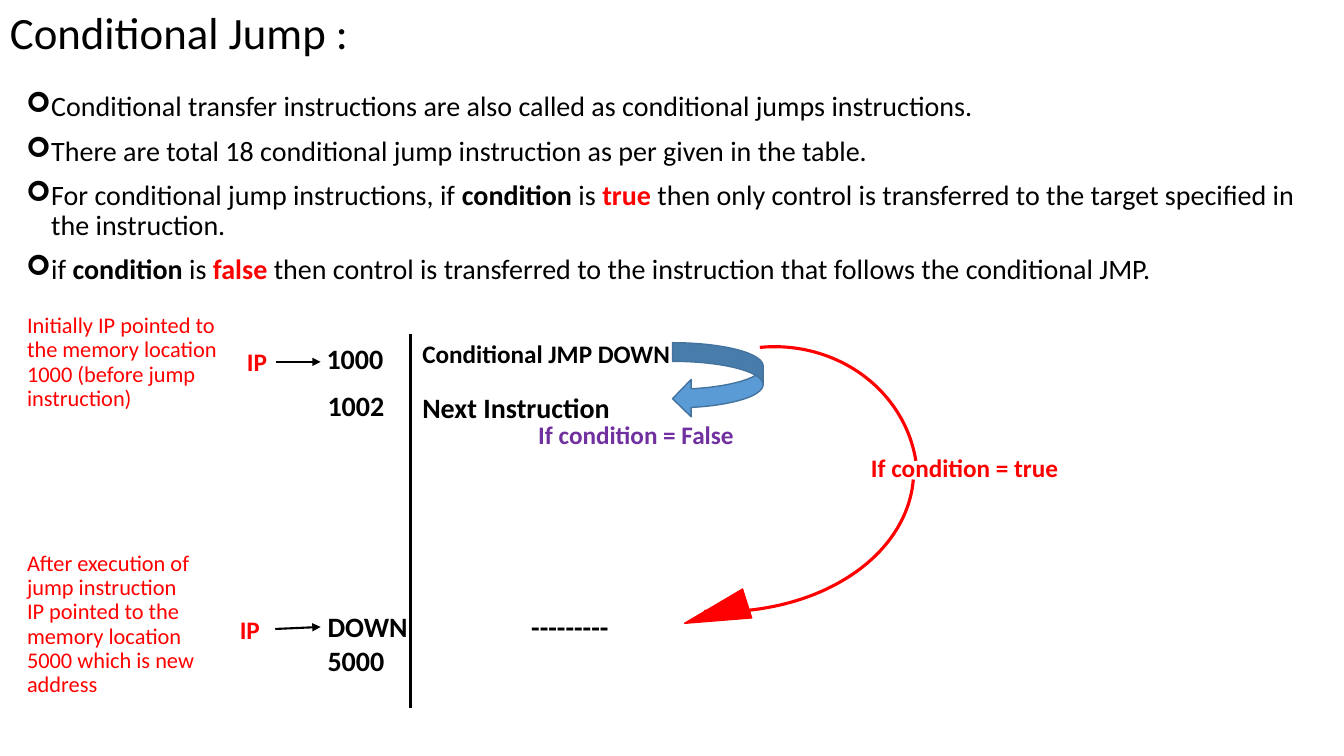
"""Build the Conditional Jump slide."""
from dataclasses import dataclass
from typing import NamedTuple

from lxml.etree import SubElement
from pptx import Presentation
from pptx.dml.color import RGBColor
from pptx.enum.shapes import MSO_CONNECTOR as Connector, MSO_SHAPE as Preset
from pptx.oxml.ns import qn
from pptx.shapes.autoshape import Shape
from pptx.slide import Slide
from pptx.util import Inches, Pt


@dataclass(frozen=True)
class Theme:
    """Colours, font and type sizes."""
    font: str = "Calibri"
    black: str = "000000"
    red: str = "FF0000"
    purple: str = "7030A0"
    blue: str = "5B9BD5"
    blue_edge: str = "43739E"
    title: int = 32
    body: int = 20
    label: int = 18
    note: int = 16


THEME = Theme()


class Frame(NamedTuple):
    """Left, top, width and height in inches."""
    left: float
    top: float
    width: float
    height: float


class Label(NamedTuple):
    """A plain text box."""
    frame: Frame
    text: str
    size: int = THEME.body
    color: str = THEME.black
    bold: bool = True
    spacing: float = 1.0


class Figure(NamedTuple):
    """A preset shape with an outline and an optional fill."""
    preset: Preset
    frame: Frame
    line: str
    weight: float
    fill: str | None = None
    rotation: float = 0
    adjustments: tuple[float, ...] = ()


class Rule(NamedTuple):
    """A straight line, optionally ending in an arrowhead."""
    start: tuple[float, float]
    end: tuple[float, float]
    weight: float
    arrow: bool = False


class Span(NamedTuple):
    """A stretch of text in one format."""
    text: str
    color: str = THEME.black
    bold: bool = False


BULLETS = (
    (Span("Conditional transfer instructions are also called as conditional jumps instructions."),),
    (Span("There are total 18 conditional jump instruction as per given in the table."),),
    (Span("For conditional jump instructions, if "), Span("condition ", bold=True), Span("is "),
     Span("true", THEME.red, True),
     Span(" then only control is transferred to the target specified in the instruction.")),
    (Span("if "), Span("condition ", bold=True), Span("is "), Span("false", THEME.red, True),
     Span(" then control is transferred to the instruction that follows the conditional JMP.")),
)

LABELS = (
    Label(Frame(0, 0, 4.63, 0.64), "Conditional Jump :", THEME.title, bold=False),
    Label(Frame(3.14, 3.34, 0.85, 0.44), "1000"),
    Label(Frame(3.15, 3.81, 0.85, 0.44), "1002"),
    Label(Frame(3.15, 6, 1.29, 0.77), "DOWN\n5000"),
    Label(Frame(4.09, 3.31, 2.94, 0.4), "Conditional JMP DOWN", THEME.label),
    Label(Frame(4.09, 3.82, 2.94, 0.44), "Next Instruction"),
    Label(Frame(5.17, 6, 1.32, 0.44), "---------"),
    Label(Frame(2.35, 3.39, 0.56, 0.4), "IP", THEME.label, THEME.red),
    Label(Frame(2.28, 6.05, 0.56, 0.4), "IP", THEME.label, THEME.red),
    Label(Frame(0.17, 3.07, 2.18, 0.6),
          "Initially IP pointed to the memory location 1000 (before jump instruction)",
          THEME.note, THEME.red, False, 0.9),
    Label(Frame(0.17, 5.43, 1.94, 0.6),
          "After execution of jump instruction\vIP pointed to the memory location "
          "5000 which is new address", THEME.note, THEME.red, False, 0.9),
    Label(Frame(8.54, 4.44, 2.44, 0.4), "If condition = true", THEME.label, THEME.red),
    Label(Frame(5.24, 4.11, 2.44, 0.4), "If condition = False", THEME.label, THEME.purple),
)

ARC_SWEEP = (162, 214.15)
FIGURES = (
    Figure(Preset.ARC, Frame(6.23, 3.44, 2.87, 2.69), THEME.red, 2.25,
           rotation=354.5, adjustments=ARC_SWEEP),
    Figure(Preset.ARC, Frame(5.55, 2.55, 2.95, 4.08), THEME.red, 2.25,
           rotation=94.7, adjustments=ARC_SWEEP),
    Figure(Preset.ISOSCELES_TRIANGLE, Frame(6.95, 5.76, 0.3, 0.65), THEME.red, 1,
           THEME.red, 252.4),
    Figure(Preset.CURVED_LEFT_ARROW, Frame(6.67, 3.4, 0.9, 0.74), THEME.blue_edge, 1, THEME.blue),
)

RULES = (
    Rule((4.07, 3.31), (4.07, 7.02), 2.25),
    Rule((2.74, 3.59), (3.18, 3.59), 1.5, True),
    Rule((2.73, 6.24), (3.18, 6.22), 1.5, True),
)


def add_box(page: Slide, frame: Frame) -> Shape:
    """Add an empty wrapping text box."""
    box = page.shapes.add_textbox(*map(Inches, frame))
    box.text_frame.word_wrap = True
    return box


def style_font(font, size: int, color: str, bold: bool) -> None:
    """Apply the theme font with a size, colour and weight."""
    font.name, font.size, font.bold = THEME.font, Pt(size), bold
    font.color.rgb = RGBColor.from_string(color)


def draw_label(page: Slide, label: Label) -> None:
    """Draw a text box in a single format."""
    box = add_box(page, label.frame)
    box.text_frame.text = label.text
    for para in box.text_frame.paragraphs:
        para.line_spacing = label.spacing
        for span in para.runs:
            style_font(span.font, label.size, label.color, label.bold)


def draw_bullets(page: Slide, frame: Frame) -> None:
    """Draw the bulleted explanation."""
    text_frame = add_box(page, frame).text_frame
    for index, spans in enumerate(BULLETS):
        para = text_frame.add_paragraph() if index else text_frame.paragraphs[0]
        para.line_spacing = 0.9
        para.space_before = Pt(10 if index else 0)
        properties = para._p.get_or_add_pPr()
        properties.set("marL", str(Inches(0.25)))
        properties.set("indent", str(-Inches(0.25)))
        SubElement(properties, qn("a:buFont"), typeface="Wingdings")
        SubElement(properties, qn("a:buChar"), char="➢")
        for part in spans:
            span = para.add_run()
            span.text = part.text
            style_font(span.font, THEME.body, part.color, part.bold)


def draw_figure(page: Slide, figure: Figure) -> None:
    """Draw a preset shape."""
    shape = page.shapes.add_shape(figure.preset, *map(Inches, figure.frame))
    shape.shadow.inherit = False
    shape.rotation = figure.rotation
    for index, value in enumerate(figure.adjustments):
        shape.adjustments[index] = value
    shape.line.color.rgb = RGBColor.from_string(figure.line)
    shape.line.width = Pt(figure.weight)
    if figure.fill:
        shape.fill.solid()
        shape.fill.fore_color.rgb = RGBColor.from_string(figure.fill)
    else:
        shape.fill.background()


def draw_rule(page: Slide, rule: Rule) -> None:
    """Draw a straight line or arrow."""
    line = page.shapes.add_connector(Connector.STRAIGHT, *map(Inches, rule.start + rule.end))
    line.line.color.rgb = RGBColor.from_string(THEME.black)
    line.line.width = Pt(rule.weight)
    if rule.arrow:
        SubElement(line.line._get_or_add_ln(), qn("a:tailEnd"), type="triangle")
    SubElement(line._element.spPr, qn("a:effectLst"))


def main() -> None:
    """Build and save the deck."""
    deck = Presentation()
    deck.slide_width, deck.slide_height = Inches(13.33), Inches(7.5)
    page = deck.slides.add_slide(deck.slide_layouts[6])
    draw_bullets(page, Frame(0.16, 0.87, 13, 2.11))
    for rule in RULES:
        draw_rule(page, rule)
    for figure in FIGURES:
        draw_figure(page, figure)
    for label in LABELS:
        draw_label(page, label)
    deck.save("out.pptx")


if __name__ == "__main__":
    main()
